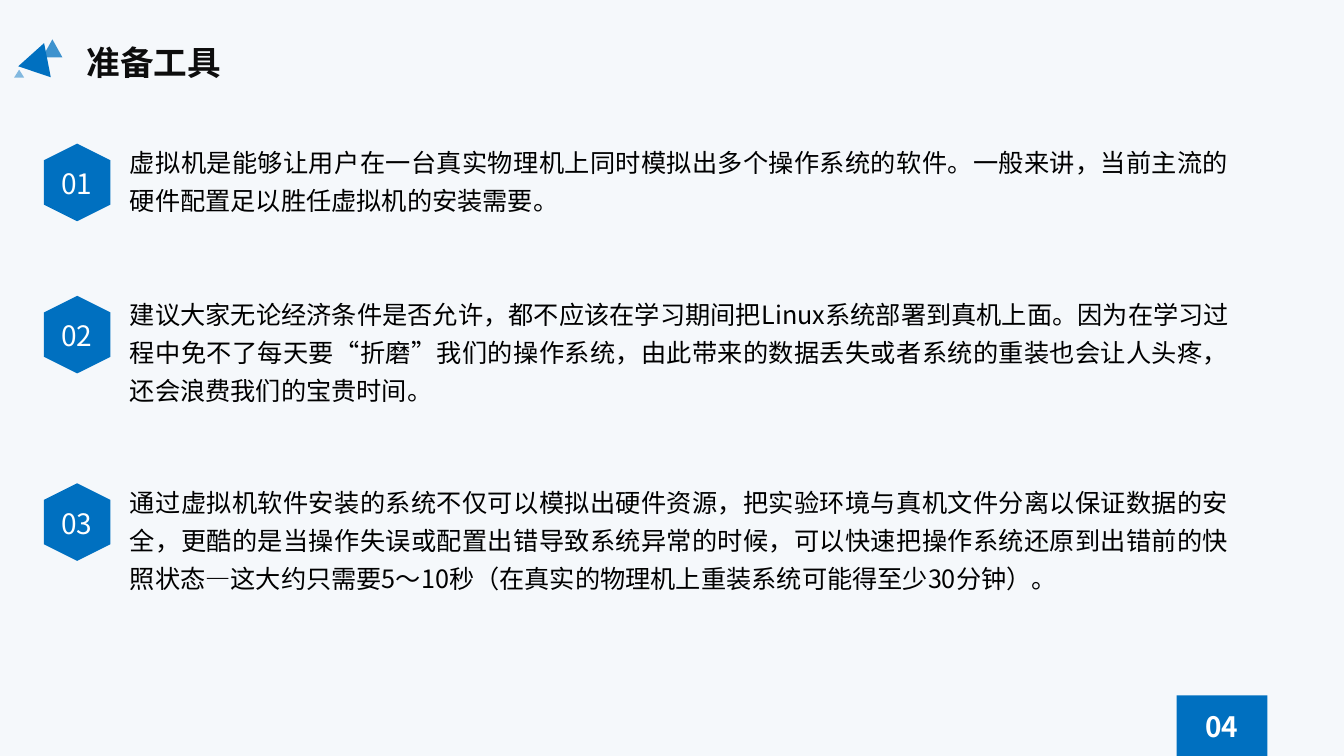
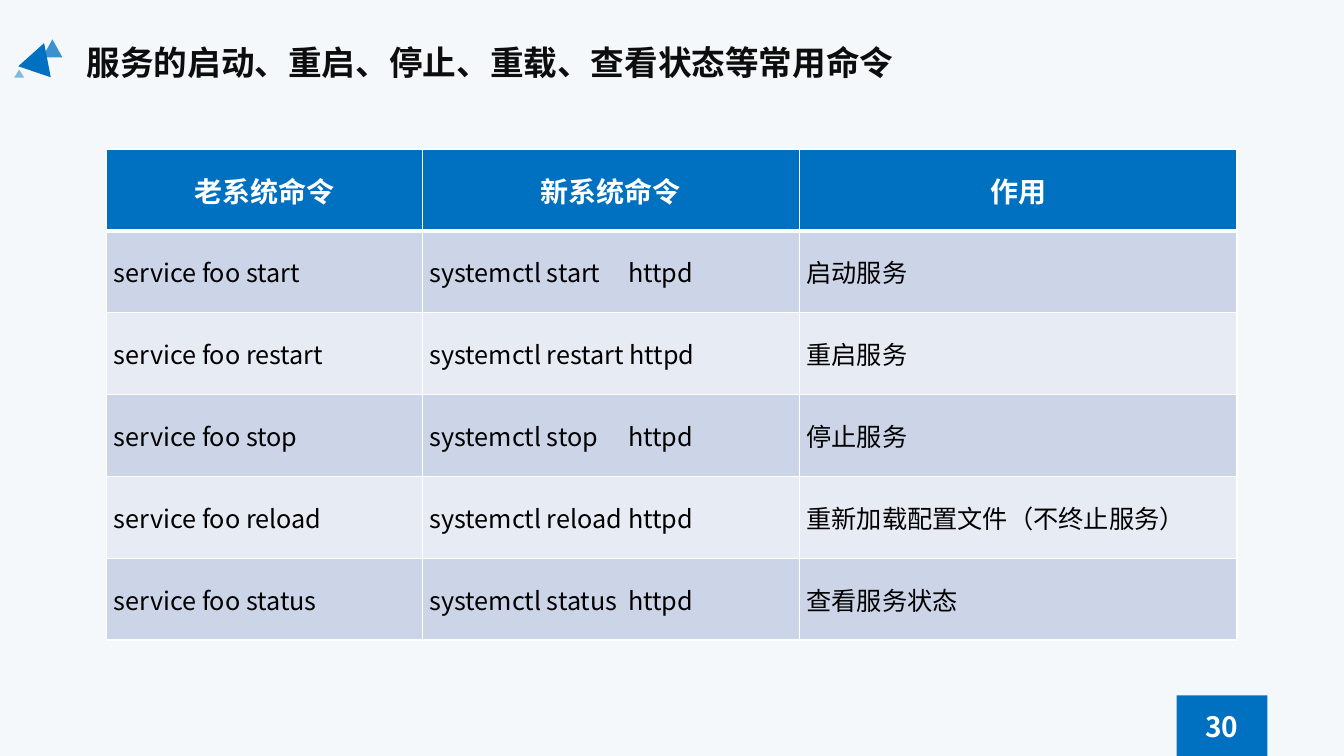
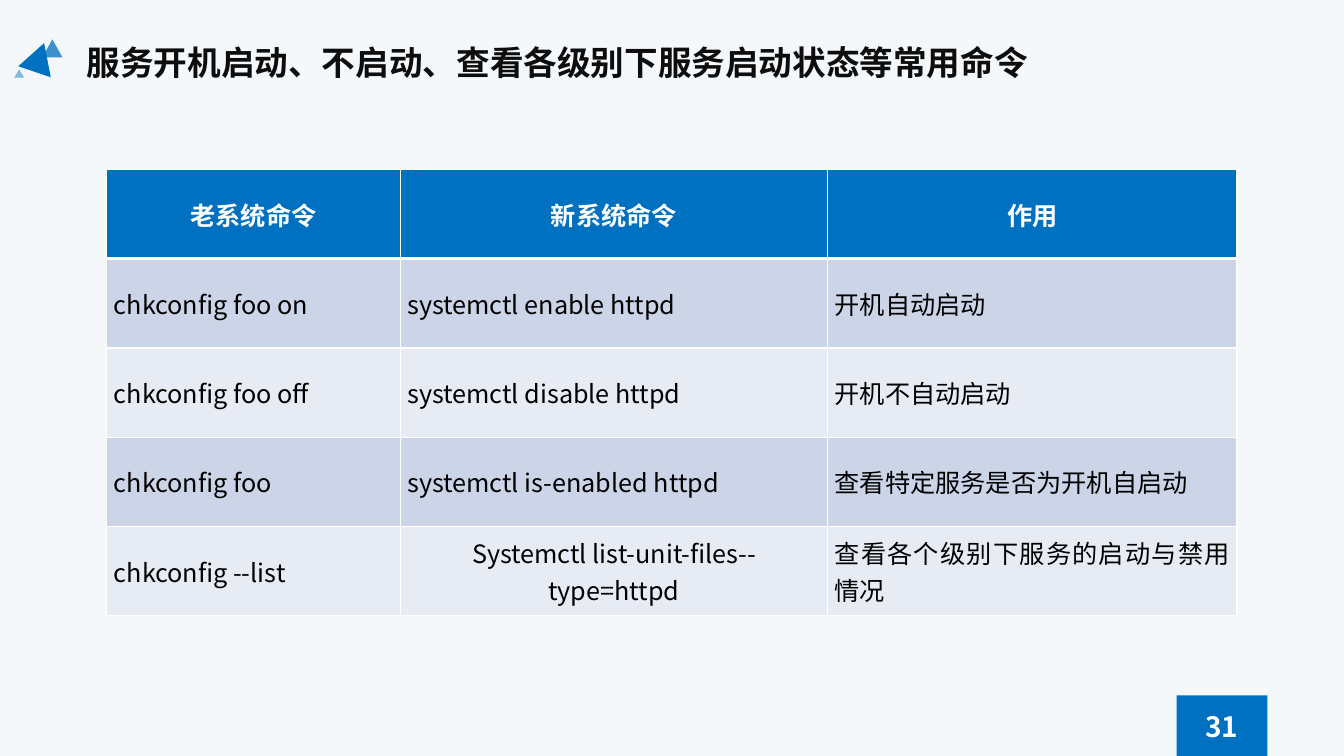
from lxml import etree
from pptx import Presentation
from pptx.dml.color import RGBColor
from pptx.enum.shapes import MSO_SHAPE
from pptx.enum.text import MSO_ANCHOR, MSO_AUTO_SIZE, PP_ALIGN
from pptx.oxml.ns import qn
from pptx.util import Inches, Pt

LEFT, CENTER, JUSTIFY = PP_ALIGN.LEFT, PP_ALIGN.CENTER, PP_ALIGN.JUSTIFY
TOP, MIDDLE = MSO_ANCHOR.TOP, MSO_ANCHOR.MIDDLE
GROW = MSO_AUTO_SIZE.SHAPE_TO_FIT_TEXT
TRIANGLE, RECT, HEXAGON = (MSO_SHAPE.ISOSCELES_TRIANGLE, MSO_SHAPE.RECTANGLE,
                           MSO_SHAPE.HEXAGON)

FONT = "Noto Sans CJK SC"
PAPER = RGBColor(0xF5, 0xF8, 0xFB)
BLUE = RGBColor(0x00, 0x70, 0xC0)
BAND_DARK = RGBColor(0xCC, 0xD5, 0xE8)
BAND_LIGHT = RGBColor(0xE7, 0xEB, 0xF4)
INK = RGBColor(0x0D, 0x0D, 0x0D)
BLACK = RGBColor(0x00, 0x00, 0x00)
WHITE = RGBColor(0xFF, 0xFF, 0xFF)

TITLE = {"size": Pt(24), "bold": True, "color": INK}
PAGE = {"size": Pt(20), "bold": True, "color": WHITE}
BADGE = {"size": Pt(20), "bold": False, "color": WHITE}
BODY = {"size": Pt(18), "bold": False, "color": BLACK}
HEAD = {"size": Pt(18), "bold": True, "color": WHITE}

# left, top, width, height, rotation, opacity in percent
MARK = [(0.42, 0.39, 0.2, 0.18, 0, 75),
        (0.22, 0.42, 0.34, 0.3, 18.5, 100),
        (0.14, 0.69, 0.1, 0.08, 0, 47)]

TOOLS = [
    (1.48, 0.82, "虚拟机是能够让用户在一台真实物理机上同时模拟出多个操作系统的软件。"
     "一般来讲，当前主流的硬件配置足以胜任虚拟机的安装需要。"),
    (2.99, 1.2, "建议大家无论经济条件是否允许，都不应该在学习期间把Linux系统部署到真机上面。"
     "因为在学习过程中免不了每天要“折磨”我们的操作系统，"
     "由此带来的数据丢失或者系统的重装也会让人头疼，还会浪费我们的宝贵时间。"),
    (4.85, 1.2, "通过虚拟机软件安装的系统不仅可以模拟出硬件资源，"
     "把实验环境与真机文件分离以保证数据的安全，"
     "更酷的是当操作失误或配置出错导致系统异常的时候，"
     "可以快速把操作系统还原到出错前的快照状态—这大约只需要5～10秒"
     "（在真实的物理机上重装系统可能得至少30分钟）。"),
]

HEADINGS = ("老系统命令", "新系统命令", "作用")
SERVICE_ROWS = [
    HEADINGS,
    ("service foo start", "systemctl start\thttpd", "启动服务"),
    ("service foo restart", "systemctl restart httpd", "重启服务"),
    ("service foo stop", "systemctl stop\thttpd", "停止服务"),
    ("service foo reload", "systemctl reload\thttpd", "重新加载配置文件（不终止服务）"),
    ("service foo status", "systemctl status\thttpd", "查看服务状态"),
]
BOOT_ROWS = [
    HEADINGS,
    ("chkconfig foo on", "systemctl enable httpd", "开机自动启动"),
    ("chkconfig foo off", "systemctl disable httpd", "开机不自动启动"),
    ("chkconfig foo", "systemctl is-enabled httpd", "查看特定服务是否为开机自启动"),
    ("chkconfig --list", "Systemctl list-unit-files--type=httpd",
     "查看各个级别下服务的启动与禁用情况"),
]


def add_borders(cell, widths):
    """Draw white cell borders; widths maps L, R, T, B to points."""
    tcPr = cell._tc.get_or_add_tcPr()
    for side, width in widths.items():
        ln = etree.SubElement(tcPr, qn(f"a:ln{side}"), w=str(Pt(width)))
        fill = etree.SubElement(ln, qn("a:solidFill"))
        etree.SubElement(fill, qn("a:srgbClr"), val=str(WHITE))


def add_tab(p, position):
    tabs = etree.SubElement(p._p.get_or_add_pPr(), qn("a:tabLst"))
    etree.SubElement(tabs, qn("a:tab"), pos=str(Inches(position)), algn="l")


class Deck:
    """Holds the shared style and the slide being built."""

    def __init__(self):
        self.prs = Presentation()
        self.prs.slide_width = Inches(13.33)
        self.prs.slide_height = Inches(7.5)
        fill = self.prs.slide_master.background.fill
        fill.solid()
        fill.fore_color.rgb = PAPER
        self.s = None

    def add_run(self, p, text, style, align):
        p.alignment = align
        r = p.add_run()
        r.text = text
        r.font.name = FONT
        etree.SubElement(r._r.get_or_add_rPr(), qn("a:ea"), typeface=FONT)
        for name, value in style.items():
            if name == "color":
                r.font.color.rgb = value
            else:
                setattr(r.font, name, value)

    def fill_frame(self, tf, text, style, align, line):
        """Set one paragraph with a fixed line height in points."""
        for name, value in {"word_wrap": True, "auto_size": GROW,
                            "vertical_anchor": TOP}.items():
            setattr(tf, name, value)
        p = tf.paragraphs[0]
        p.line_spacing = Pt(line)
        self.add_run(p, text, style, align)

    def slide(self, title, width, page):
        """Start a slide with its title, corner mark and page number."""
        self.s = self.prs.slides.add_slide(self.prs.slide_layouts[5])
        sp = self.s.shapes.title
        sp.left, sp.top = Inches(0.76), Inches(0.35)
        sp.width, sp.height = Inches(width), Inches(0.5)
        self.fill_frame(sp.text_frame, title, TITLE, LEFT, 30)
        for left, top, w, h, rotation, opacity in MARK:
            self.shape(TRIANGLE, left, top, w, h, rotation, opacity)
        self.shape(RECT, 11.67, 6.9, 0.9, 0.6)
        self.text(page, 11.8, 6.98, 0.64, 0.44, PAGE, CENTER, 25)

    def shape(self, kind, left, top, width, height, rotation=0, opacity=100):
        sp = self.s.shapes.add_shape(kind, Inches(left), Inches(top),
                                     Inches(width), Inches(height))
        sp.rotation = rotation
        sp.shadow.inherit = False
        sp.line.fill.background()
        sp.fill.solid()
        sp.fill.fore_color.rgb = BLUE
        if opacity < 100:
            color = sp._element.spPr.find(f".//{qn('a:srgbClr')}")
            etree.SubElement(color, qn("a:alpha"), val=str(opacity * 1000))

    def text(self, text, left, top, width, height, style, align, line):
        sp = self.s.shapes.add_textbox(Inches(left), Inches(top),
                                       Inches(width), Inches(height))
        self.fill_frame(sp.text_frame, text, style, align, line)

    def item(self, number, top, height, text):
        """Add a numbered hexagon with its paragraph."""
        self.shape(HEXAGON, 0.38, top, 0.77, 0.66, 90)
        self.text(f"{number:02}", 0.45, top + 0.11, 0.62, 0.44, BADGE, CENTER, 25)
        self.text(text, 1.19, top - 0.14, 11.1, height, BODY, JUSTIFY, 27)

    def table(self, rows, top, height, widths, head=HEAD, centered=()):
        """Add a banded table; centered lists (row, column) of centred body cells."""
        table = self.s.shapes.add_table(
            len(rows), len(widths), Inches(1.06), Inches(top),
            Inches(sum(widths)), Inches(height)).table
        for column, width in zip(table.columns, widths):
            column.width = Inches(width)
        for i, row in enumerate(rows):
            band = BLUE if i == 0 else (BAND_DARK if i % 2 else BAND_LIGHT)
            borders = {"L": 1, "R": 1, "T": 3 if i == 1 else 1,
                       "B": 3 if i == 0 else 1}
            for j, text in enumerate(row):
                cell = table.cell(i, j)
                for name, value in {"margin_left": Inches(0.07),
                                    "margin_right": Inches(0.07),
                                    "margin_top": 0, "margin_bottom": 0,
                                    "vertical_anchor": MIDDLE}.items():
                    setattr(cell, name, value)
                add_borders(cell, borders)
                cell.fill.solid()
                cell.fill.fore_color.rgb = band
                p = cell.text_frame.paragraphs[0]
                if "\t" in text:
                    add_tab(p, 1.97)
                align = CENTER if i == 0 or (i, j) in centered else JUSTIFY
                self.add_run(p, text, BODY if i else head, align)


def main():
    deck = Deck()

    deck.slide("准备工具", 2.53, "04")
    for number, (top, height, text) in enumerate(TOOLS, 1):
        deck.item(number, top, height, text)

    deck.slide("服务的启动、重启、停止、重载、查看状态等常用命令", 8.57, "30")
    deck.table(SERVICE_ROWS, 1.48, 4.87, (3.13, 3.74, 4.34),
               head={**HEAD, "size": Pt(20)})

    deck.slide("服务开机启动、不启动、查看各级别下服务启动状态等常用命令", 9.7, "31")
    deck.table(BOOT_ROWS, 1.68, 4.43, (2.91, 4.24, 4.06), centered=[(4, 1)])

    deck.prs.save("out.pptx")


if __name__ == "__main__":
    main()
